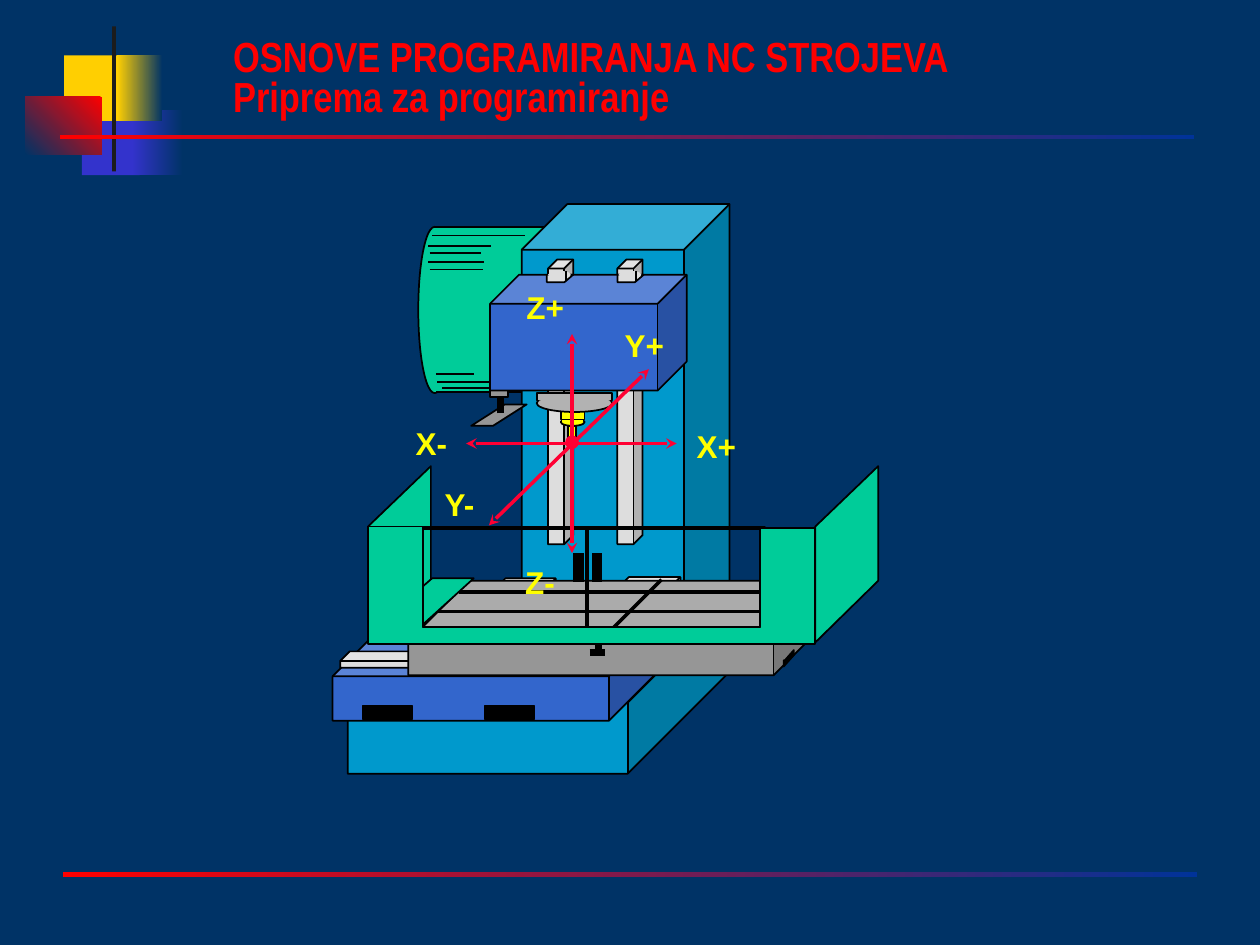
"""Build a slide that shows the axes of a milling machine."""
from lxml import etree
from pptx import Presentation
from pptx.dml.color import RGBColor
from pptx.enum.shapes import MSO_CONNECTOR, MSO_SHAPE
from pptx.enum.text import MSO_ANCHOR, MSO_AUTO_SIZE, PP_ALIGN
from pptx.oxml.ns import qn
from pptx.util import Inches, Pt

RECT, OVAL, CUBE = MSO_SHAPE.RECTANGLE, MSO_SHAPE.OVAL, MSO_SHAPE.CUBE
SLANT, STRAIGHT = MSO_SHAPE.PARALLELOGRAM, MSO_CONNECTOR.STRAIGHT
LEFT, BOTTOM, FIXED = PP_ALIGN.LEFT, MSO_ANCHOR.BOTTOM, MSO_AUTO_SIZE.NONE

HUES = {
    "navy": "003366", "indigo": "3333CC", "gold": "FFCF01", "ink": "1C1C1C",
    "red": "FF0000", "royal": "003399", "green": "00CC99", "black": "000000",
    "sky": "0099CC", "pale": "DDDDDD", "blue": "3366CC", "gray": "969696",
    "silver": "B2B2B2", "yellow": "FFFF00", "axis": "FF0033",
}
RGB = {name: RGBColor.from_string(code) for name, code in HUES.items()}


def form(pool, kind, at, fill=None, edge="black", width=1, adj=None):
    """Add a preset shape, or a closed outline when kind is None."""
    if kind is None:
        dots = [(Inches(x), Inches(y)) for x, y in at]
        pen = pool.build_freeform(*dots[0])
        pen.add_line_segments(dots[1:], close=True)
        shape = pen.convert_to_shape()
    else:
        shape = pool.add_shape(kind, *map(Inches, at))
    shape.shadow.inherit = False
    if adj is not None:
        shape.adjustments[0] = adj
    if fill:
        shape.fill.solid()
        shape.fill.fore_color.rgb = RGB[fill]
    else:
        shape.fill.background()
    if edge:
        shape.line.color.rgb = RGB[edge]
        shape.line.width = Pt(width)
    else:
        shape.line.fill.background()
    return shape


def line(pool, ends, width=1, hue="black", arrow=False):
    """Add a straight line, with arrowheads at both ends if asked."""
    link = pool.add_connector(STRAIGHT, *map(Inches, ends))
    link.line.color.rgb = RGB[hue]
    link.line.width = Pt(width)
    if arrow:
        for tag in ("a:headEnd", "a:tailEnd"):
            etree.SubElement(link.line._ln, qn(tag), type="stealth")
    etree.SubElement(link._element.spPr, qn("a:effectLst"))


prs = Presentation()
prs.slide_width, prs.slide_height = Inches(10), Inches(7.5)
slide = prs.slides.add_slide(prs.slide_layouts[5])
slide.background.fill.solid()
slide.background.fill.fore_color.rgb = RGB["navy"]

for at, hues, angle in [
    ((0.65, 0.87, 0.46, 0.52), ["indigo"], 0),
    ((1.05, 0.87, 0.4, 0.52), ["navy", "indigo"], 180),
    ((0.51, 0.44, 0.48, 0.52), ["gold"], 0),
    ((0.93, 0.44, 0.36, 0.52), ["navy", "gold"], 180),
    ((0.89, 0.21, 0.03, 1.15), ["ink"], 0),
    ((0.2, 0.77, 0.61, 0.46), ["red", "navy"], 225),
    ((0.5, 6.92, 9, 0.04), ["royal", "red"], 180),
    ((0.48, 1.07, 9, 0.03), ["royal", "red"], 180),
]:
    block = form(slide.shapes, RECT, at, hues[0], None)
    if angle:
        block.fill.gradient()
        block.fill.gradient_angle = angle
        for stop, hue in zip(block.fill.gradient_stops, hues):
            stop.color.rgb = RGB[hue]

title = slide.shapes.title
place = {"left": 1.75, "top": 0, "width": 8.25, "height": 1.01}
for key, value in place.items():
    setattr(title, key, Inches(value))
frame = title.text_frame
frame.text = "OSNOVE PROGRAMIRANJA NC STROJEVA\nPriprema za programiranje"
for key, value in {"vertical_anchor": BOTTOM, "auto_size": FIXED, "word_wrap": True}.items():
    setattr(frame, key, value)
for para in frame.paragraphs:
    for key, value in {"alignment": LEFT, "line_spacing": 0.8, "space_before": Pt(0)}.items():
        setattr(para, key, value)
    font = para.runs[0].font
    for key, value in {"name": "Arial Narrow", "size": Pt(24), "bold": True}.items():
        setattr(font, key, value)
    font.color.rgb = RGB["red"]

mill = slide.shapes.add_group_shape().shapes

form(mill, OVAL, (3.32, 1.8, 0.26, 1.32), "green")
form(mill, RECT, (3.45, 1.8, 0.88, 1.31), "green")
line(mill, (3.45, 1.81, 3.45, 3.11), hue="green")
for x, end, y in [
    (3.43, 4.17, 1.87), (3.4, 3.9, 1.95), (3.41, 3.82, 2.01), (3.4, 3.84, 2.08),
    (3.41, 3.83, 2.14), (3.51, 4.01, 3.08), (3.47, 3.88, 3.03), (3.46, 3.76, 2.97),
]:
    line(mill, (x, y, end, y))

for at, hue, adj in [
    ((4.14, 1.62, 1.65, 3.57), "sky", 0.22),
    ((4.35, 2.06, 0.2, 2.26), "pale", 0.36),
    ((4.9, 2.06, 0.2, 2.26), "pale", 0.36),
    ((2.76, 4.62, 3.18, 1.52), "sky", 0.63),
    ((3.14, 4.59, 1.27, 0.99), "pale", 0.88),
    ((4.12, 4.58, 1.28, 0.99), "pale", 0.88),
    ((2.64, 4.9, 2.66, 0.82), "blue", 0.57),
    ((2.95, 4.93, 2.27, 0.13), "pale", 0.59),
    ((2.7, 5.17, 2.27, 0.13), "pale", 0.59),
]:
    form(mill, CUBE, at, hue, adj=adj)
for x in (2.88, 3.85):
    form(mill, RECT, (x, 5.6, 0.39, 0.11), "black")

form(mill, CUBE, (3.24, 4.61, 3.38, 0.75), "gray", adj=0.64)
for step in range(3):
    x, y = 3.64 - 0.16 * step, 4.7 + 0.155 * step
    end = x + 2.9
    line(mill, (x, y, end, y), 2)
    line(mill, (end, y + 0.01, end, y + 0.07), 2)
    line(mill, (end + 0.02, y + 0.05, end - 0.03, y + 0.1), 2)
line(mill, (4.74, 5.11, 5.25, 4.6), 2)
line(mill, (4.75, 5.11, 4.75, 5.17), 4)
line(mill, (4.68, 5.18, 4.8, 5.18), 4)
form(mill, None, [(6.23, 5.24), (6.3, 5.16), (6.3, 5.2), (6.22, 5.29), (6.22, 5.24)], "black")
form(mill, None, [(6.46, 5.01), (6.52, 4.94), (6.52, 4.98), (6.46, 5.05)], "black")

line(mill, (4.66, 4.18, 4.66, 4.99), 2)
for x in (6.47, 2.92):
    form(mill, None, [(x, 4.18), (x, 5.1), (x + 0.5, 4.61), (x + 0.5, 3.7)], "green")
form(mill, RECT, (3.34, 4.19, 2.73, 0.79), width=2)
form(mill, None, [(3.76, 4.59), (3.43, 4.59), (3.28, 4.72), (3.32, 4.99)], "green")
form(mill, None, [(2.92, 4.18), (3.36, 4.18), (3.36, 4.98), (6.03, 4.98),
                  (6.03, 4.19), (6.47, 4.19), (6.47, 5.11), (2.92, 5.11)], "green")
for x in (4.59, 4.74):
    line(mill, (x, 4.39, x, 4.62), 6)

for oval, rect, seam in [
    ((4.51, 3.47, 0.07, 0.03), (4.51, 3.38, 0.06, 0.1), (4.52, 3.48, 4.56, 3.48)),
    ((4.45, 3.32, 0.19, 0.06), (4.45, 3.24, 0.19, 0.09), (4.46, 3.34, 4.63, 3.34)),
]:
    form(mill, OVAL, oval, "yellow")
    form(mill, RECT, rect, "yellow")
    line(mill, seam, hue="yellow")

form(mill, SLANT, (3.74, 3.21, 0.44, 0.17), "gray", adj=1.57)
line(mill, (3.97, 3.28, 3.97, 2.92), 4)
form(mill, RECT, (3.89, 2.85, 0.14, 0.3), "gray")
form(mill, CUBE, (3.89, 2.18, 1.56, 0.92), "blue", adj=0.25)
for x in (4.34, 4.9):
    form(mill, None, [(x + 0.21, 2.18), (x + 0.14, 2.24), (x, 2.24), (x, 2.18)], "pale")
    form(mill, OVAL, (x + 0.01, 2.15, 0.18, 0.06), "pale", None)
    line(mill, (x + 0.15, 2.15, x + 0.15, 2.23))
form(mill, OVAL, (4.26, 3.13, 0.6, 0.14), "silver")
form(mill, RECT, (4.26, 3.12, 0.6, 0.06), "silver")
form(mill, OVAL, (4.27, 3.14, 0.58, 0.06), "silver", None)

for ends in [(4.54, 2.65, 4.54, 4.39), (3.7, 3.52, 5.37, 3.52), (5.15, 2.93, 3.88, 4.17)]:
    line(mill, ends, 2, "axis", True)
form(mill, OVAL, (4.5, 3.47, 0.08, 0.08), "axis", "axis", 2)

for name, x, y in [
    ("Z-", 4.07, 4.42), ("Z+", 4.08, 2.24), ("X-", 3.2, 3.32),
    ("Y+", 4.86, 2.54), ("X+", 5.43, 3.34), ("Y-", 3.43, 3.8),
]:
    label = mill.add_textbox(*map(Inches, (x, y, 0.8, 0.4))).text_frame
    label.word_wrap = True
    label.text = name
    font = label.paragraphs[0].runs[0].font
    for key, value in {"name": "Arial", "size": Pt(18), "bold": True}.items():
        setattr(font, key, value)
    font.color.rgb = RGB["yellow"]

prs.save("out.pptx")
